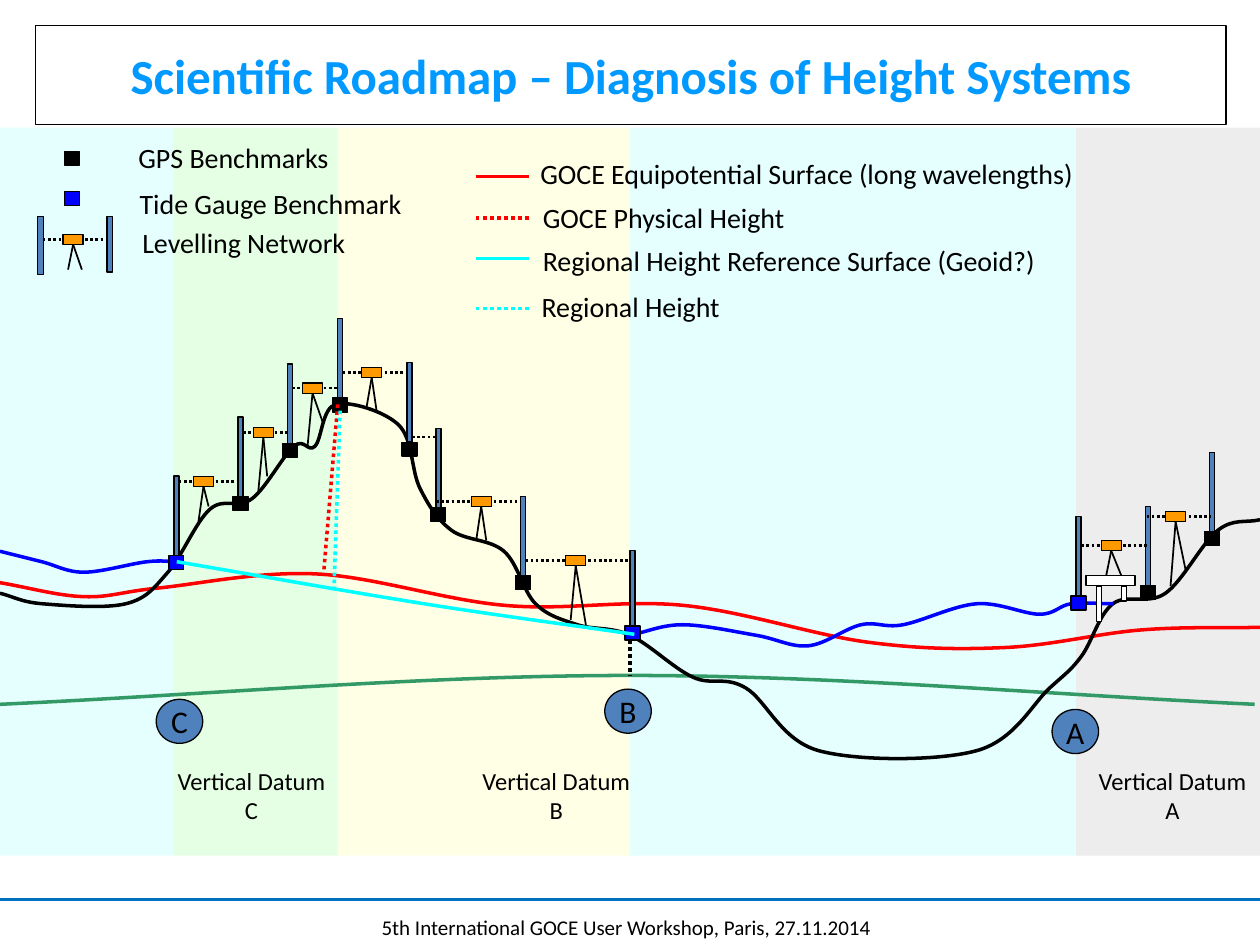
from itertools import pairwise

from pptx import Presentation
from pptx.dml.color import RGBColor
from pptx.enum.dml import MSO_LINE
from pptx.enum.shapes import MSO_CONNECTOR, MSO_SHAPE
from pptx.enum.text import MSO_ANCHOR, PP_ALIGN
from pptx.oxml.ns import qn
from pptx.util import Pt
from lxml.etree import SubElement

COLORS = {
    "black": "000000", "white": "FFFFFF", "title": "0099FF", "rule": "0070C0",
    "staff": "4F81BD", "level": "FF9900", "tide": "0000FF", "goce": "FF0000",
    "regional": "00FFFF", "ellipsoid": "339966",
    "sea": "CCFFFF", "datum_c": "CCFFCC", "datum_b": "FFFFCC", "datum_a": "DDDDDD",
}
FONT = "Calibri"
MARKER_W, MARKER_H = 8.6, 8
STAFF_W, STAFF_H = 2.9, 45.4
LEVEL_W, LEVEL_H = 11.5, 5.8

TERRAIN = [
    (0, 339), (24, 345), (72, 345), (96, 327), (120, 291), (144, 285), (168, 255),
    (180, 255), (192, 231), (228, 243), (240, 279), (258, 303), (288, 315),
    (306, 345), (330, 357), (360, 363), (396, 387), (426, 393), (468, 429),
    (558, 429), (600, 393), (618, 375), (636, 345), (666, 339), (696, 303), (720, 297),
]
EAST_SEA = [(360, 363), (390, 357), (432, 363), (462, 369), (492, 357), (516, 357),
            (558, 345), (594, 351), (612, 345), (636, 345)]
WEST_SEA = [(0, 315), (24, 321), (48, 327), (84, 321), (102, 321)]
GOCE_SURFACE = [(0, 333), (48, 341), (91, 336), (181, 328), (289, 346), (391, 346),
                (496, 367), (575, 370), (652, 360), (720, 358.5)]
ELLIPSOID = [(0, 402.5), (360, 386), (717, 402.5)]
REGIONAL_SURFACE = [(101, 321), (242, 345), (362.5, 362.5)]

GPS_STATIONS = [(651.6, 334.8), (688.3, 303.8), (190.1, 227.5), (246.2, 290.2),
                (294.5, 329), (133.2, 283.7), (229.7, 252.7), (161.3, 253.4)]
TIDE_STATIONS = [(612, 340.6, STAFF_H), (96.5, 317.5, STAFF_H), (357.1, 357.8, 43.2)]
LEVELS = [
    (617.8, 655.2, 311.8, 635, 329, 5.8, 329),
    (655.2, 691.9, 295.2, 671.8, 334.8, 5.8, 326.2),
    (139, 164.2, 247, 150.5, 280.8, 2.2, 272.2),
    (167, 193, 221.8, 178.6, 255.6, 5.8, 241.2),
    (300.2, 360, 320.4, 329, 354.2, 5.8, 357.1),
    (249.1, 297.4, 286.6, 275, 308.9, 2.9, 308.9),
    (195.8, 232.6, 212.8, 212.4, 232.6, 2.9, 235.4),
    (102.2, 136.1, 275, 116.3, 298.1, 2.9, 289.4),
    (24.5, 61.2, 136.8, 41.8, 154.1, 5, 154.1),
]
PIER = [(620.6, 329, 28.1, 5.8), (626.4, 334.8, 2.9, 20.2), (640.8, 334.8, 2.9, 8.6)]


def rgb(name):
    return RGBColor.from_string(COLORS[name])


def add_block(page, left, top, width, height, fill, line="black", kind=MSO_SHAPE.RECTANGLE):
    block = page.shapes.add_shape(kind, Pt(left), Pt(top), Pt(width), Pt(height))
    block.shadow.inherit = False
    block.fill.solid()
    block.fill.fore_color.rgb = rgb(fill)
    if line:
        block.line.color.rgb = rgb(line)
        block.line.width = Pt(0.75)
    else:
        block.line.fill.background()
    return block


def add_band(page, left, right, fill):
    band = add_block(page, left, 73, right - left, 416, fill, line=None)
    color = band.fill._xPr.find(qn("a:solidFill"))[0]
    SubElement(color, qn("a:alpha"), val="50000")


def add_line(page, start, end, color, width, dotted=False):
    line = page.shapes.add_connector(MSO_CONNECTOR.STRAIGHT, *map(Pt, start + end))
    line.line.color.rgb = rgb(color)
    line.line.width = Pt(width)
    if dotted:
        line.line.dash_style = MSO_LINE.ROUND_DOT
    SubElement(line._element.spPr, qn("a:effectLst"))


def add_curve(page, knots, color):
    points = [(Pt(x), Pt(y)) for x, y in knots]
    builder = page.shapes.build_freeform(*points[0])
    builder.add_line_segments(points[1:], close=False)
    curve = builder.convert_to_shape()
    curve.shadow.inherit = False
    curve.fill.background()
    curve.line.color.rgb = rgb(color)
    curve.line.width = Pt(2)
    smooth_segments(curve)


def smooth_segments(curve):
    nodes = list(curve._element.iter(qn("a:pt")))
    knots = [(int(node.get("x")), int(node.get("y"))) for node in nodes]
    first = tuple(2 * a - b for a, b in zip(knots[0], knots[1]))
    last = tuple(2 * a - b for a, b in zip(knots[-1], knots[-2]))
    around = [first, *knots, last]
    for index, node in enumerate(nodes[1:]):
        before, start, end, after = around[index:index + 4]
        leave = [s + (e - b) / 6 for b, s, e in zip(before, start, end)]
        arrive = [e - (a - s) / 6 for s, e, a in zip(start, end, after)]
        segment = node.getparent()
        bezier = segment.makeelement(qn("a:cubicBezTo"))
        for x, y in (leave, arrive, end):
            SubElement(bezier, qn("a:pt"), x=str(round(x)), y=str(round(y)))
        segment.getparent().replace(segment, bezier)


def write(shape, text, size, color="black", align=PP_ALIGN.LEFT, bold=False):
    shape.text_frame.text = text
    para = shape.text_frame.paragraphs[0]
    para.alignment = align
    font = para.runs[0].font
    font.name, font.size, font.bold = FONT, Pt(size), bold
    font.color.rgb = rgb(color)


def set_margins(frame, side, edge):
    frame.margin_left = frame.margin_right = Pt(side)
    frame.margin_top = frame.margin_bottom = Pt(edge)


def add_label(page, left, top, width, height, text, size):
    box = page.shapes.add_textbox(Pt(left), Pt(top), Pt(width), Pt(height))
    box.text_frame.word_wrap = True
    write(box, text, size)
    return box


def add_datum(page, letter, badge_left, badge_top, label_left):
    badge = add_block(page, badge_left, badge_top, 26.6, 25.2, "staff", kind=MSO_SHAPE.OVAL)
    write(badge, letter, 18, align=PP_ALIGN.CENTER)
    badge.text_frame.word_wrap = False
    badge.text_frame.vertical_anchor = MSO_ANCHOR.MIDDLE
    set_margins(badge.text_frame, 0, 0)
    label = add_label(page, label_left, 437, 93, 35.3, f"Vertical Datum {letter}", 14)
    label.text_frame.paragraphs[0].alignment = PP_ALIGN.CENTER
    set_margins(label.text_frame, 1.4, 0.7)


def add_marker(page, x, y, color):
    add_block(page, x, y, MARKER_W, MARKER_H, color)


def add_station(page, x, y, color, height=STAFF_H):
    add_marker(page, x, y, color)
    add_block(page, x + STAFF_W, y - height, STAFF_W, height, "staff")


def add_level(page, start, end, y, center, left_foot, right_reach, right_foot):
    add_line(page, (start, y), (end, y), "black", 1.5, dotted=True)
    add_block(page, center - LEVEL_W / 2, y - LEVEL_H / 2, LEVEL_W, LEVEL_H, "level")
    apex = (center, y + LEVEL_H / 2)
    add_line(page, apex, (center - 2.9, left_foot), "black", 1)
    add_line(page, apex, (center + right_reach, right_foot), "black", 1)


def add_legend(page):
    add_marker(page, 36.7, 86.4, "black")
    add_marker(page, 36.7, 109.4, "tide")
    add_block(page, 21.6, 123.8, 3.2, 33.1, "staff")
    add_block(page, 61.2, 123.8, 3.2, 31.7, "staff")
    for left, top, text in [(72, 77, "GPS Benchmarks"), (72.7, 103, "Tide Gauge Benchmark"),
                            (74.2, 125.3, "Levelling Network")]:
        add_label(page, left, top, 184, 25.2, text, 16)
    for y, color, dotted, left, top, text in [
        (100.8, "goce", False, 301.7, 85.7, "GOCE Equipotential Surface (long wavelengths)"),
        (124.6, "goce", True, 303.1, 110.9, "GOCE Physical Height"),
        (147.6, "regional", False, 303.1, 135.4, "Regional Height Reference Surface (Geoid?)"),
        (176.4, "regional", True, 302.4, 162, "Regional Height"),
    ]:
        add_line(page, (272, y), (302.4, y), color, 2, dotted)
        add_label(page, left, top, 356, 26.6, text, 16)


def add_frame(page):
    add_line(page, (0, 514), (720, 514), "rule", 2.25)
    add_label(page, 211, 519, 297.4, 21.6, "5th International GOCE User Workshop, Paris, 27.11.2014", 12)
    title = add_block(page, 20.2, 14.4, 680.4, 56.9, "white")
    title.text_frame.vertical_anchor = MSO_ANCHOR.MIDDLE
    write(title, "Scientific Roadmap – Diagnosis of Height Systems", 28, "title", PP_ALIGN.CENTER, True)


def main():
    deck = Presentation()
    deck.slide_width, deck.slide_height = Pt(720), Pt(540)
    page = deck.slides.add_slide(deck.slide_layouts[6])
    add_frame(page)
    edges = pairwise([0, 99.4, 193, 360, 615, 720])
    for (left, right), fill in zip(edges, ["sea", "datum_c", "datum_b", "sea", "datum_a"]):
        add_band(page, left, right, fill)
    for knots, color in [(GOCE_SURFACE, "goce"), (ELLIPSOID, "ellipsoid"), (TERRAIN, "black"),
                         (EAST_SEA, "tide"), (WEST_SEA, "tide")]:
        add_curve(page, knots, color)
    for x, y in GPS_STATIONS:
        add_station(page, x, y, "black")
    for x, y, height in TIDE_STATIONS:
        add_station(page, x, y, "tide", height)
    for part in PIER:
        add_block(page, *part, "white")
    for level in LEVELS:
        add_level(page, *level)
    add_line(page, (235.4, 249.8), (249.1, 249.8), "black", 1.5, dotted=True)
    add_line(page, (360, 365.8), (360, 386), "black", 2, dotted=True)
    for datum in [("A", 601.2, 405.4, 623.5), ("B", 345.6, 393.8, 271.4), ("C", 89.3, 399.6, 97.2)]:
        add_datum(page, *datum)
    add_curve(page, REGIONAL_SURFACE, "regional")
    add_line(page, (193, 231.1), (185, 326.9), "goce", 2, dotted=True)
    add_line(page, (194.4, 234.7), (190.8, 337.7), "regional", 2, dotted=True)
    add_legend(page)
    deck.save("out.pptx")


if __name__ == "__main__":
    main()
